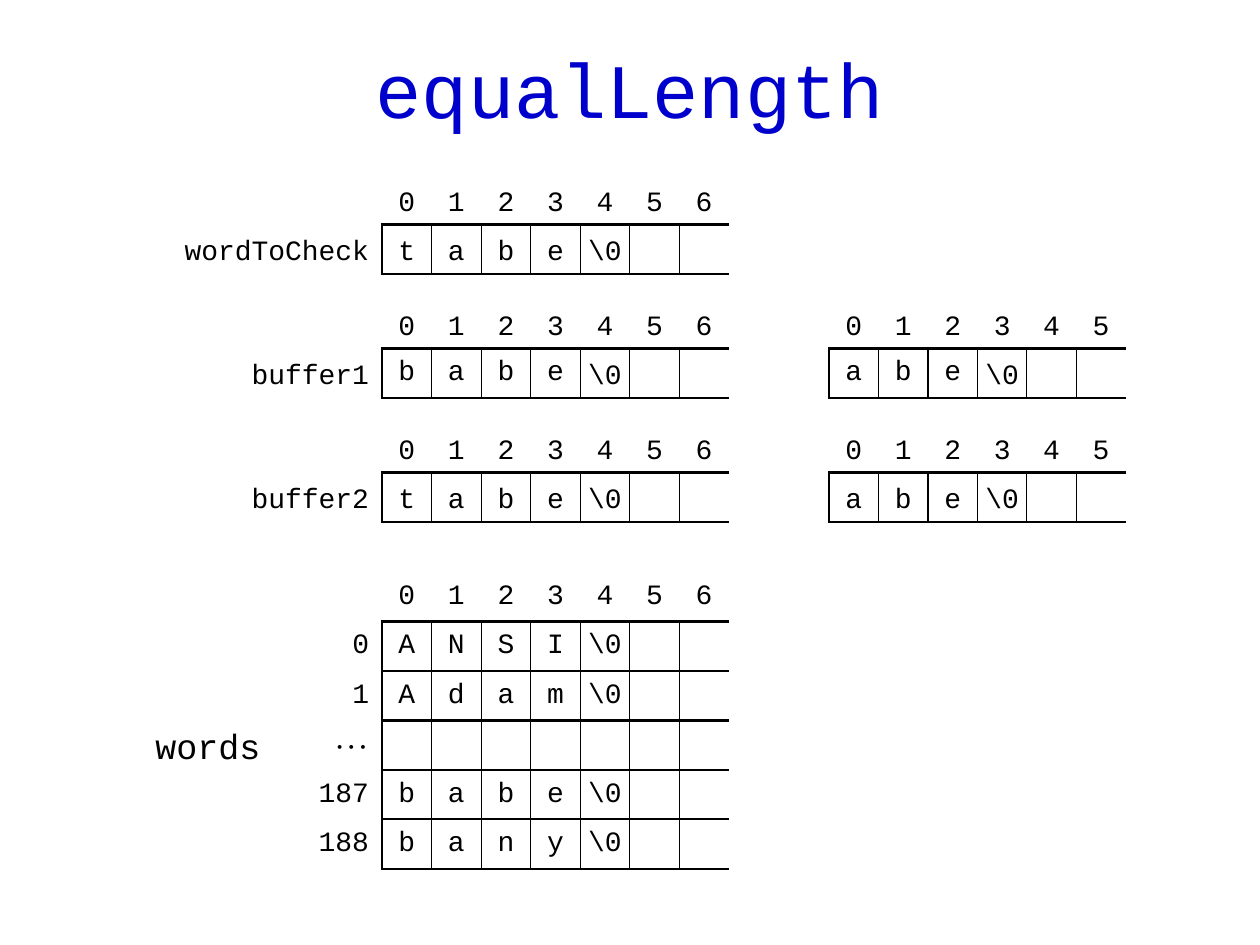
from lxml.etree import SubElement
from pptx import Presentation
from pptx.dml.color import RGBColor
from pptx.enum.text import MSO_ANCHOR as Anchor, PP_ALIGN as Align
from pptx.oxml.ns import qn
from pptx.util import Pt

COLORS = {"ink": "000000", "title": "0000CC"}
MONO, SERIF = "Courier New", "Times New Roman"
THICK, THIN = 1.5, 0.75
NO_GRID_STYLE = "{2D5ABB26-0587-4C30-8999-92F81FD0307C}"
LABEL_GAP = 13


def px(length):
    return round(length * 914400 / 126)


def write(frame, text, size, align=Align.CENTER, color="ink", font=MONO, spacing=None):
    frame.text = text
    paragraph = frame.paragraphs[0]
    paragraph.alignment = align
    if spacing:
        paragraph.line_spacing = spacing
    for run in paragraph.runs:
        run.font.size = Pt(size)
        run.font.name = font
        run.font.color.rgb = RGBColor.from_string(COLORS[color])


def caption(slide, box, text, size, color="ink"):
    frame = slide.shapes.add_textbox(*map(px, box)).text_frame
    frame.word_wrap = True
    frame.vertical_anchor = Anchor.MIDDLE
    write(frame, text, size, color=color)


def style_cell(cell, borders):
    """Borders maps a side (L, R, T, B) to a line width in points."""
    cell.margin_left = cell.margin_right = cell.margin_top = cell.margin_bottom = 0
    cell.vertical_anchor = Anchor.MIDDLE
    properties = cell._tc.get_or_add_tcPr()
    for side in "LRTB":
        if side in borders:
            line = SubElement(properties, qn(f"a:ln{side}"), w=str(Pt(borders[side])))
            fill = SubElement(line, qn("a:solidFill"))
            SubElement(fill, qn("a:srgbClr"), val=COLORS["ink"])
    cell.fill.background()


def cell_borders(row, column, first, last):
    if column < first:
        return {"R": THICK} if row else {}
    if row == 0:
        return {"B": THICK}
    borders = {"L": THICK if column == first else THIN, "T": THICK, "B": THICK}
    if column < last:
        borders["R"] = THIN
    return borders


def char_array(slide, box, words, labels=(), label_width=0, spacing=1.25, word_spacing=1.25):
    """Draws char arrays under an index row; labels stand left of the box."""
    left, top, width, height = box
    count = round(width / 49.6)
    first = 1 if labels else 0
    rows, columns = len(words) + 1, count + first
    table = slide.shapes.add_table(
        rows, columns, px(left - label_width), px(top),
        px(width + label_width), px(height)).table
    table.first_row = table.horz_banding = False
    table._tbl.tblPr.find(qn("a:tableStyleId")).text = NO_GRID_STYLE
    for column in range(columns):
        table.columns[column].width = px(label_width if column < first else width / count)
    for row in range(rows):
        table.rows[row].height = px(height / rows)
        for column in range(columns):
            style_cell(table.cell(row, column),
                       cell_borders(row, column, first, columns - 1))

    # Index row
    for index in range(count):
        write(table.cell(0, index + first).text_frame, str(index), 16, spacing=spacing)

    # Row labels
    for row, label in enumerate(labels, 1):
        cell = table.cell(row, 0)
        cell.margin_right = px(LABEL_GAP)
        size, font = (20, SERIF) if label == "⋯" else (16, MONO)
        write(cell.text_frame, label, size, Align.RIGHT, font=font, spacing=spacing)

    # Letters, each word closed by its terminator
    for row, word in enumerate(words, 1):
        for column, letter in enumerate([*word, "\\0"] if word else [], first):
            gap = spacing if letter == "\\0" else word_spacing
            write(table.cell(row, column).text_frame, letter, 16, spacing=gap)


def equal_length_slide(slide):
    caption(slide, (59, 26, 1142, 123), "equalLength", 44, "title")

    # Word and buffers, with the tails of the buffers on the right
    array_left, array_width, pair_height = 382, 347, 99
    tail_left, tail_width = 829, 297
    strings = [
        ("wordToCheck", "tabe", 223, None, 1.25),
        ("buffer1", "babe", 149, "abe", None),
        ("buffer2", "tabe", 149, "abe", 1.25),
    ]
    for order, (name, word, label_width, tail, word_spacing) in enumerate(strings):
        top = 175 + 124 * order
        char_array(slide, (array_left, top, array_width, pair_height), [word],
                   [name], label_width, word_spacing=word_spacing)
        if tail:
            char_array(slide, (tail_left, top, tail_width, pair_height), [tail],
                       word_spacing=word_spacing)

    # Dictionary
    caption(slide, (134, 696, 148, 99), "words", 20)
    char_array(slide, (array_left, 572, array_width, 297),
               ["ANSI", "Adam", "", "babe", "bany"],
               ["0", "1", "⋯", "187", "188"], 75, spacing=None, word_spacing=None)


deck = Presentation()
deck.slide_width, deck.slide_height = px(1260), px(945)
equal_length_slide(deck.slides.add_slide(deck.slide_layouts[6]))
deck.save("out.pptx")
